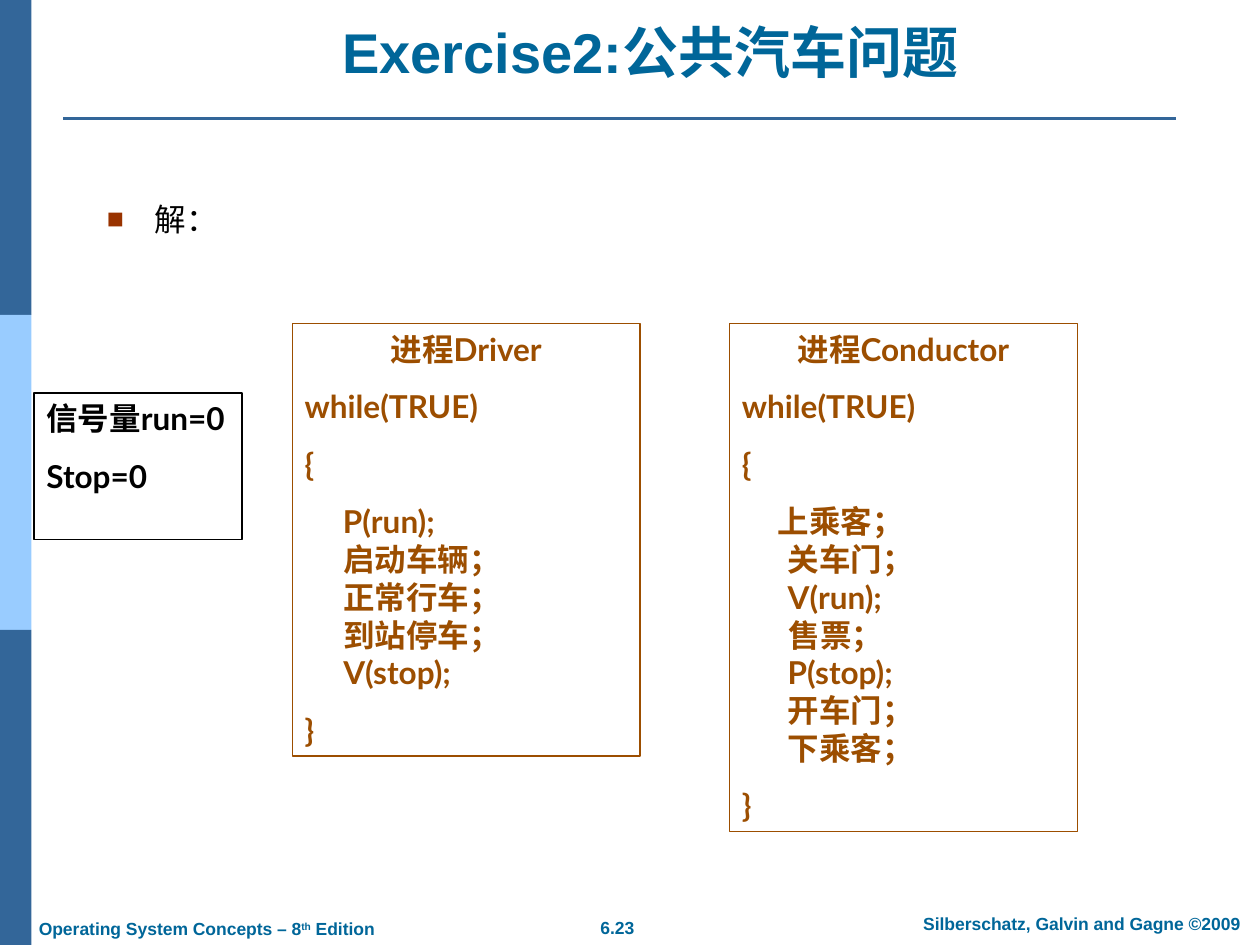
"""Build the bus problem slide with its driver and conductor processes."""
from typing import NamedTuple

import lxml.etree
import pptx
import pptx.dml.color
import pptx.enum.shapes
import pptx.enum.text
import pptx.oxml.ns
import pptx.util

Inches = pptx.util.Inches
Pt = pptx.util.Pt
qn = pptx.oxml.ns.qn
PP_ALIGN = pptx.enum.text.PP_ALIGN
ANCHOR = pptx.enum.text.MSO_ANCHOR
FIT = pptx.enum.text.MSO_AUTO_SIZE

BLUE, TEAL, BROWN, BLACK = "336699", "006699", "9C4E00", "000000"


class CodeBox(NamedTuple):
    left: float
    top: float
    width: float
    height: float
    color: str
    paragraphs: list[str]
    heading: bool = True


class Footer(NamedTuple):
    left: float
    top: float
    width: float
    align: PP_ALIGN
    wrap: bool
    runs: list[str]


BAND_COLORS = [BLUE, "99CCFF", BLUE]

CODE_BOXES = [
    CodeBox(2.32, 2.57, 2.76, 3.43, BROWN, [
        "进程Driver",
        "while(TRUE)",
        "{",
        "     P(run);\n　 启动车辆；\n　 正常行车；\n　 到站停车；\n　 V(stop);",
        "}",
    ]),
    CodeBox(5.79, 2.57, 2.76, 4.03, BROWN, [
        "进程Conductor",
        "while(TRUE)",
        "{",
        "     上乘客；\n　  关车门；\n　  V(run);\n  　售票；\n　  P(stop);\n　  开车门；\n　  下乘客；",
        "}",
    ]),
    CodeBox(0.27, 3.12, 1.65, 1.16, BLACK, ["信号量run=0", "Stop=0"], False),
]

FOOTERS = [
    Footer(4.41, 7.23, 0.98, PP_ALIGN.CENTER, False, ["6.23"]),
    Footer(7.1, 7.2, 2.97, PP_ALIGN.CENTER, True, ["Silberschatz, Galvin and Gagne ©2009"]),
    Footer(0.21, 7.24, 3, PP_ALIGN.LEFT, True,
           ["Operating System Concepts – 8", "th", " Edition"]),
]


def rgb(value: str) -> pptx.dml.color.RGBColor:
    return pptx.dml.color.RGBColor.from_string(value)


def box(*lengths: float) -> list[int]:
    return [Inches(v) for v in lengths]


def style(p, size: float, color: str, name: str = "Arial", bold: bool = True) -> None:
    for r in p.runs:
        for key, value in {"size": Pt(size), "name": name, "bold": bold}.items():
            setattr(r.font, key, value)
        r.font.color.rgb = rgb(color)


def add_rect(s, *lengths: float):
    sp = s.shapes.add_shape(pptx.enum.shapes.MSO_SHAPE.RECTANGLE, *box(*lengths))
    sp.shadow.inherit = False
    return sp


def add_bands(s) -> None:
    for i, color in enumerate(BAND_COLORS):
        sp = add_rect(s, 0, 2.5 * i, 0.25, 2.5)
        sp.fill.solid()
        sp.fill.fore_color.rgb = rgb(color)
        sp.line.fill.background()


def add_rule(s) -> None:
    line = s.shapes.add_connector(
        pptx.enum.shapes.MSO_CONNECTOR.STRAIGHT, *box(0.5, 0.94, 9.33, 0.94))
    line.line.color.rgb = rgb(BLUE)
    line.line.width = Pt(1.5)
    lxml.etree.SubElement(line._element.spPr, qn("a:effectLst"))


def add_footer(s, footer: Footer) -> None:
    sp = s.shapes.add_textbox(*box(footer.left, footer.top, footer.width, 0.27))
    tf = sp.text_frame
    tf.word_wrap = footer.wrap
    p = tf.paragraphs[0]
    p.alignment = footer.align
    for text in footer.runs:
        p.add_run().text = text
    style(p, 10, TEAL)
    for r in p.runs[1:2]:
        r.font._element.set("baseline", "30000")


def add_bullet(s, text: str) -> None:
    tf = s.shapes.add_textbox(*box(0.75, 1.54, 8.42, 0.71)).text_frame
    tf.word_wrap = True
    p = tf.paragraphs[0]
    p.text = text
    pPr = p._p.get_or_add_pPr()
    pPr.set("marL", str(Inches(0.38)))
    pPr.set("indent", str(Inches(-0.38)))
    color = lxml.etree.SubElement(pPr, qn("a:buClr"))
    lxml.etree.SubElement(color, qn("a:srgbClr"), val="993300")
    lxml.etree.SubElement(pPr, qn("a:buSzPct"), val="90000")
    lxml.etree.SubElement(pPr, qn("a:buFont"), typeface="Arial")
    lxml.etree.SubElement(pPr, qn("a:buChar"), char="■")
    style(p, 18, BLACK, bold=False)


def add_code_box(s, code: CodeBox) -> None:
    sp = add_rect(s, code.left, code.top, code.width, code.height)
    sp.fill.background()
    sp.line.color.rgb = rgb(code.color)
    sp.line.width = Pt(0.75)
    tf = sp.text_frame
    for key, value in {"word_wrap": True, "vertical_anchor": ANCHOR.TOP}.items():
        setattr(tf, key, value)
    for i, text in enumerate(code.paragraphs):
        p = tf.add_paragraph() if i else tf.paragraphs[0]
        p.text = text
        p.alignment = PP_ALIGN.LEFT if i or not code.heading else PP_ALIGN.CENTER
        if i:
            p.space_before = Pt(11.2)
        style(p, 18, code.color, "Lato")


def set_title(s, text: str) -> None:
    sp = s.shapes.title
    sp.left, sp.top, sp.width, sp.height = box(0.75, 0.25, 8.83, 0.47)
    tf = sp.text_frame
    for key, value in {"word_wrap": True, "vertical_anchor": ANCHOR.BOTTOM,
                       "auto_size": FIT.NONE}.items():
        setattr(tf, key, value)
    p = tf.paragraphs[0]
    p.text = text
    p.alignment = PP_ALIGN.CENTER
    style(p, 32, TEAL)


def main() -> None:
    prs = pptx.Presentation()
    prs.slide_width, prs.slide_height = box(10, 7.5)
    s = prs.slides.add_slide(prs.slide_layouts[5])
    add_bands(s)
    add_rule(s)
    for footer in FOOTERS:
        add_footer(s, footer)
    add_bullet(s, "解：")
    for code in CODE_BOXES:
        add_code_box(s, code)
    set_title(s, "Exercise2:公共汽车问题")
    prs.save("out.pptx")


if __name__ == "__main__":
    main()
